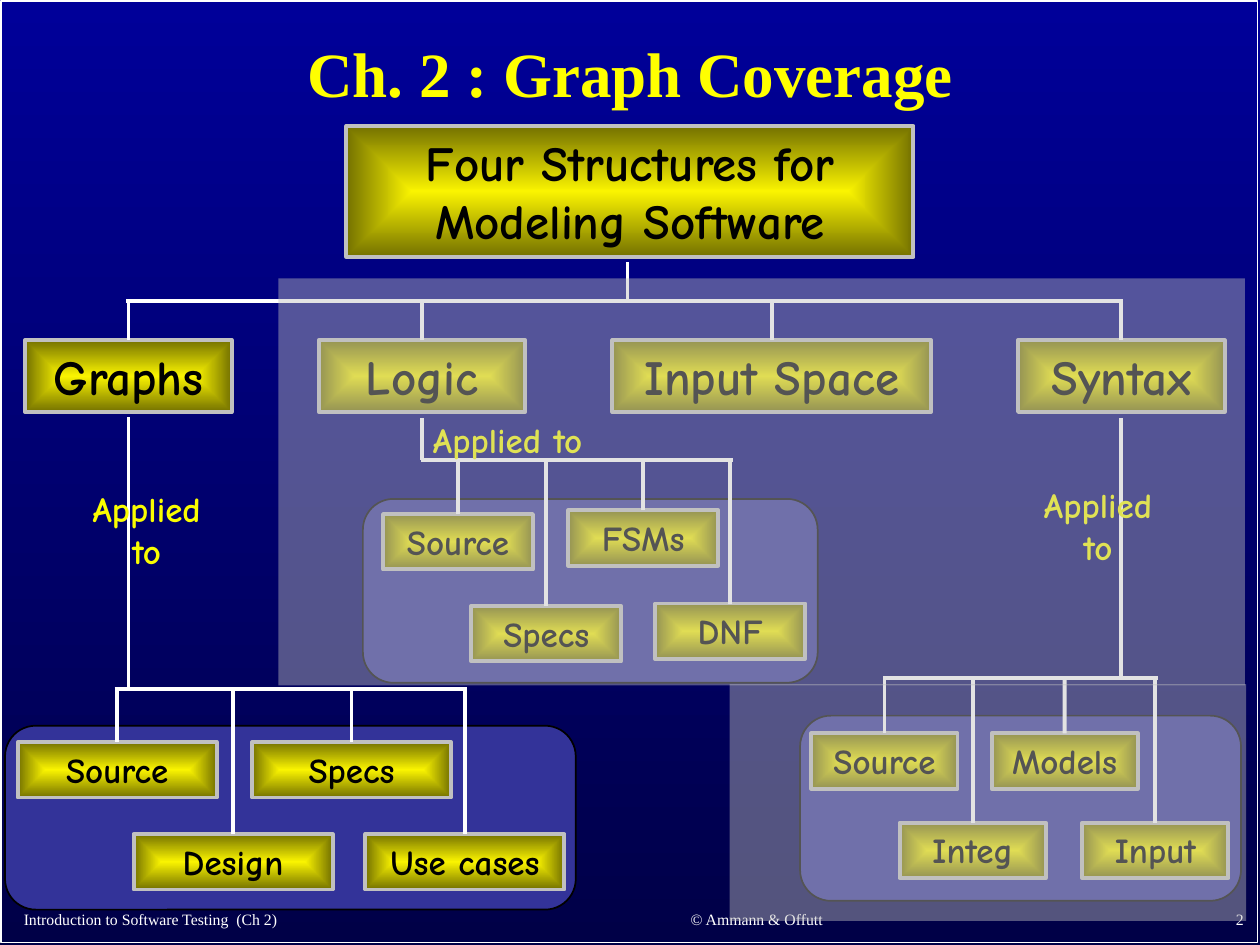
from lxml.etree import SubElement
from pptx import Presentation
from pptx.dml.color import RGBColor
from pptx.enum.shapes import MSO_CONNECTOR, MSO_SHAPE
from pptx.enum.text import MSO_ANCHOR, PP_ALIGN
from pptx.oxml.ns import qn
from pptx.util import Inches, Pt

SERIF, COMIC = "Times New Roman", "Comic Neue"
WHITE, BLACK, SILVER, YELLOW = "FFFFFF", "000000", "C0C0C0", "FAFD00"

TITLE = "Ch. 2 : Graph Coverage"
ROOT = ("Four Structures for Modeling Software", 2.75, 1, 4.5, 1.04)
ROOT_STEM = (4.98, 2.08, 2.39)  # x, top, bottom
STRUCTURE_BAR = (1, 8.91, 2.39)  # left, right, y
STRUCTURE_TOP, STRUCTURE_HEIGHT = 2.7, 0.57
STRUCTURES = [  # name, left, width
    ("Graphs", 0.2, 1.64),
    ("Logic", 2.53, 1.64),
    ("Input Space", 4.86, 2.53),
    ("Syntax", 8.08, 1.64),
]
ARTIFACT_HEIGHT = 0.44
APPLICATIONS = [
    {   # graphs
        "panel": (0.04, 5.76, 4.53, 1.46), "width": 1.58,
        "artifacts": [("Source", 0.14, 5.89), ("Design", 1.06, 6.62),
                      ("Specs", 2, 5.89), ("Use cases", 2.9, 6.62)],
        "bar": (0.91, 3.71, 5.47), "stem": (1.02, 3.31),
        "label": (0.55, 3.82, 1.23, 0.77),
    },
    {   # logic
        "panel": (2.88, 3.96, 3.61, 1.46), "width": 1.19,
        "artifacts": [("Source", 3.04, 4.08), ("Specs", 3.74, 4.81),
                      ("FSMs", 4.51, 4.05), ("DNF", 5.2, 4.79)],
        "bar": (3.34, 5.82, 3.65), "stem": (3.35, 3.32),
        "label": (3.16, 3.27, 1.74, 0.44),
    },
    {   # syntax
        "panel": (6.35, 5.68, 3.5, 1.47), "width": 1.16,
        "artifacts": [("Source", 6.44, 5.82), ("Integ", 7.14, 6.53),
                      ("Models", 7.87, 5.82), ("Input", 8.59, 6.53)],
        "bar": (7.01, 9.19, 5.38), "stem": (8.9, 3.32),
        "label": (8.1, 3.79, 1.23, 0.77),
    },
]
VEILS = [(2.21, 2.21, 7.67, 3.23), (5.79, 5.43, 4.1, 1.88)]
FOOTERS = [
    ("Introduction to Software Testing  (Ch 2)", PP_ALIGN.LEFT, (0.09, 7.12, 4.12, 0.3)),
    ("© Ammann & Offutt", PP_ALIGN.CENTER, (4.42, 7.11, 3.17, 0.31)),
    ("2", PP_ALIGN.RIGHT, (7.89, 7.1, 2.08, 0.32)),
]


def rgb(color):
    return RGBColor.from_string(color)


def write(frame, text, size, font, color, bold=True,
          align=PP_ALIGN.CENTER, anchor=MSO_ANCHOR.TOP):
    frame.word_wrap = True
    frame.vertical_anchor = anchor
    paragraph = frame.paragraphs[0]
    paragraph.alignment = align
    run = paragraph.add_run()
    run.text = text
    run.font.size, run.font.name, run.font.bold = Pt(size), font, bold
    run.font.color.rgb = rgb(color)
    return paragraph


def set_gradient(fill, first, last):
    fill.gradient()
    for stop, position, color in zip(fill.gradient_stops, (0, 1), (first, last)):
        stop.position = position
        stop.color.rgb = rgb(color)


def add_block(slide, frame, fill=None, line=None, line_width=1, kind=MSO_SHAPE.RECTANGLE):
    block = slide.shapes.add_shape(kind, *map(Inches, frame))
    block.shadow.inherit = False
    if fill:
        block.fill.solid()
        block.fill.fore_color.rgb = rgb(fill)
    else:
        block.fill.background()
    if line:
        block.line.color.rgb = rgb(line)
        block.line.width = Pt(line_width)
    else:
        block.line.fill.background()
    return block


def add_gold_box(slide, text, size, frame):
    """Add a labelled box whose gradient glows from its centre."""
    box = add_block(slide, frame, line=SILVER, line_width=2.25)
    set_gradient(box.fill, "FAF400", "747100")
    gradient = box._element.spPr.find(qn("a:gradFill"))
    gradient.remove(gradient.find(qn("a:lin")))
    path = SubElement(gradient, qn("a:path"), {"path": "rect"})
    SubElement(path, qn("a:fillToRect"), dict.fromkeys("ltrb", "50000"))
    write(box.text_frame, text, size, COMIC, BLACK)
    return box


def add_line(slide, x1, y1, x2, y2):
    line = slide.shapes.add_connector(MSO_CONNECTOR.STRAIGHT, *map(Inches, (x1, y1, x2, y2)))
    line.line.color.rgb = rgb(WHITE)
    line.line.width = Pt(2.25)
    SubElement(line._element.spPr, qn("a:effectLst"))
    return line


def add_branches(slide, bar, boxes):
    """Draw a horizontal bar and a drop from it to the top of each box."""
    left, right, y = bar
    add_line(slide, left, y, right, y)
    for box in boxes:
        x = (box.left + box.width / 2) / Inches(1)
        drop = add_line(slide, x, y, x, box.top / Inches(1))
        drop.end_connect(box, 0)


def add_text(slide, frame, *args, **options):
    box = slide.shapes.add_textbox(*map(Inches, frame))
    write(box.text_frame, *args, **options)


def add_application(slide, panel, width, artifacts, bar, stem, label):
    add_block(slide, panel, "333399", BLACK, kind=MSO_SHAPE.ROUNDED_RECTANGLE)
    boxes = [add_gold_box(slide, name, 20, (left, top, width, ARTIFACT_HEIGHT))
             for name, left, top in artifacts]
    x, top = stem
    add_line(slide, x, top, x, bar[2])
    add_branches(slide, bar, boxes)
    add_text(slide, label, "Applied to", 20, COMIC, YELLOW)


def main():
    deck = Presentation()
    deck.slide_width, deck.slide_height = Inches(10), Inches(7.5)
    slide = deck.slides.add_slide(deck.slide_layouts[5])
    background = slide.background.fill
    set_gradient(background, "000099", "000047")
    background.gradient_angle = 270

    add_block(slide, (0.01, 0.01, 9.97, 7.47), line=WHITE)
    for text, align, frame in FOOTERS:
        add_text(slide, frame, text, 9, SERIF, WHITE, bold=False,
                 align=align, anchor=MSO_ANCHOR.BOTTOM)

    title = slide.shapes.title
    title.left, title.top, title.width, title.height = map(Inches, (0.75, 0.11, 8.5, 1))
    heading = write(title.text_frame, TITLE, 36, SERIF, "FFFF00", anchor=MSO_ANCHOR.MIDDLE)
    heading.line_spacing = 0.9

    name, *frame = ROOT
    add_gold_box(slide, name, 28, frame)
    structures = [
        add_gold_box(slide, name, 28, (left, STRUCTURE_TOP, width, STRUCTURE_HEIGHT))
        for name, left, width in STRUCTURES
    ]
    x, top, bottom = ROOT_STEM
    add_line(slide, x, top, x, bottom)
    add_branches(slide, STRUCTURE_BAR, structures)

    for application in APPLICATIONS:
        add_application(slide, **application)

    for frame in VEILS:
        veil = add_block(slide, frame, SILVER)
        color = veil._element.spPr.find(qn("a:solidFill"))[0]
        SubElement(color, qn("a:alpha"), {"val": "44000"})

    deck.save("out.pptx")


if __name__ == "__main__":
    main()
